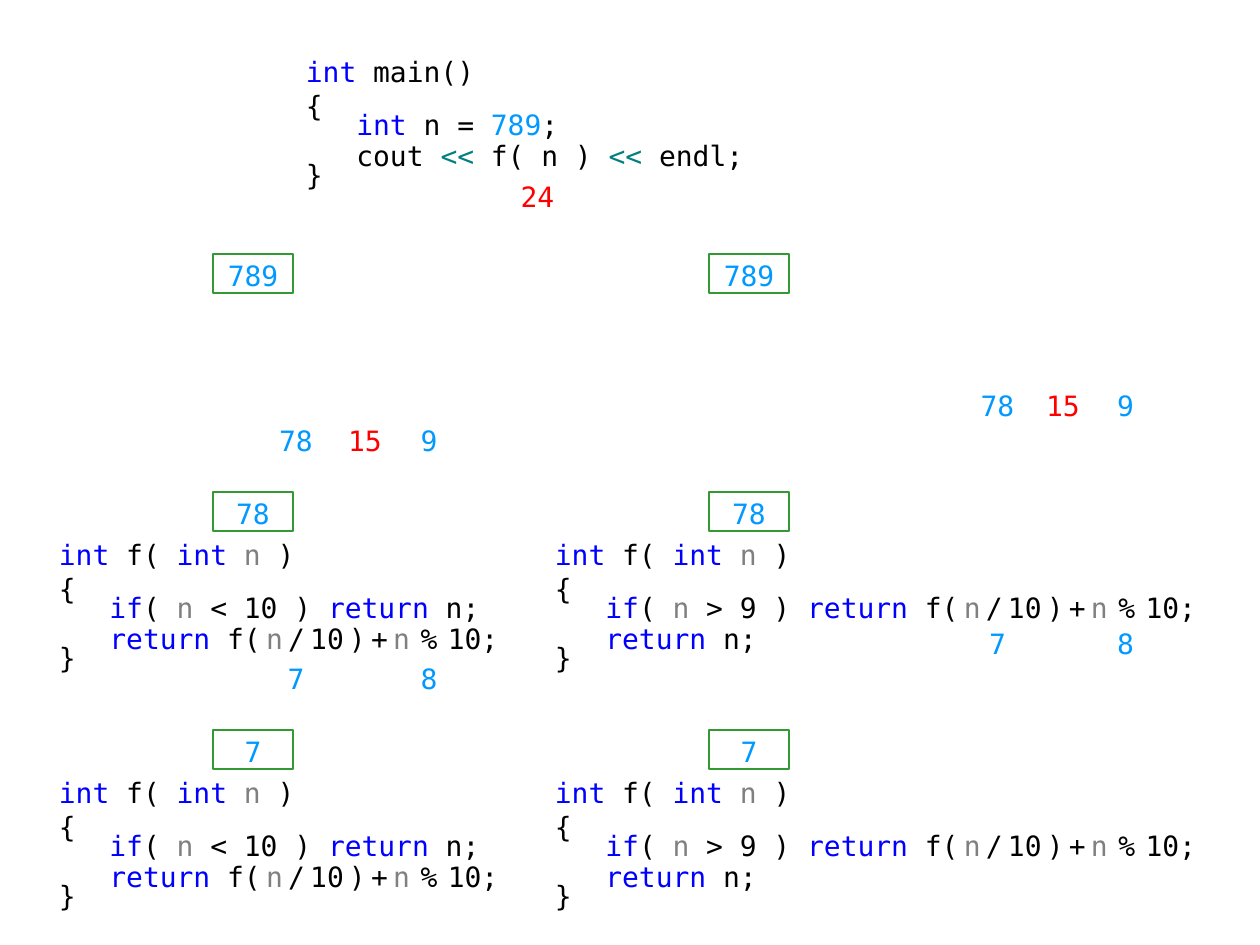
from pptx import Presentation
from pptx import util as u
from pptx.dml.color import RGBColor
from pptx.enum import shapes, text

BLACK = RGBColor(0, 0, 0)
BLUE = RGBColor(0, 0, 255)
GRAY = RGBColor(128, 128, 128)
SKY = RGBColor(0, 153, 255)
TEAL = RGBColor(0, 128, 128)
RED = RGBColor(255, 0, 0)
GREEN = RGBColor(51, 153, 51)
WHITE = RGBColor(255, 255, 255)

COLUMN_STEP, ROW_STEP = 496, 238

MAIN = [
    [("int", BLUE), (" main()", BLACK)],
    [("{", BLACK)],
    [("   ", BLACK), ("int", BLUE), (" n = ", BLACK), ("789", SKY), (";", BLACK)],
    [("   cout ", BLACK), ("<<", TEAL), (" f( n ) ", BLACK), ("<<", TEAL), (" endl;", BLACK)],
    [("}", BLACK)],
]
RETURN_N = [("return", BLUE), (" n;", BLACK)]
RETURN_SUM = [
    ("return", BLUE), (" f", BLACK), ("(", BLACK, 3), ("n", GRAY, 3), ("/", BLACK, 3),
    ("1", BLACK), ("0)+", BLACK, 3), ("n", GRAY, 6), ("%", BLACK, 6), ("10;", BLACK),
]


def digit_sum(condition, when_true, otherwise):
    """Return the coloured lines of one version of the recursive function."""
    return [
        [("int", BLUE), (" f( ", BLACK), ("int ", BLUE), ("n", GRAY), (" )", BLACK)],
        [("{", BLACK)],
        [("   ", BLACK), ("if", BLUE), ("( ", BLACK), ("n", GRAY), (condition, BLACK), *when_true],
        [("   ", BLACK), *otherwise],
        [("}", BLACK)],
    ]


class TraceSlide:
    """Holds the style and the current slide of a recursion trace."""

    FONT, SIZE = "DejaVu Sans Mono", u.Pt(16)
    TIGHT_LINES = (2, 4)

    def __init__(self, presentation):
        self.slide = presentation.slides.add_slide(presentation.slide_layouts[6])

    @staticmethod
    def px(length):
        """Turn pixels into EMU."""
        return u.Emu(round(length * 914400 / 126))

    def frame(self, shape, insets, wrap=False):
        """Set the insets and wrapping of a shape's text frame."""
        frame = shape.text_frame
        frame.word_wrap = wrap
        frame.margin_left, frame.margin_top, frame.margin_right, frame.margin_bottom = map(self.px, insets)
        return frame

    def style(self, paragraph):
        """Give a paragraph the code font."""
        paragraph.font.name = self.FONT
        paragraph.font.size = self.SIZE

    def code(self, lines, left, top, width, insets=(5, 6, 5, 6), wrap=True):
        """Add a block of coloured code."""
        box = self.slide.shapes.add_textbox(*map(self.px, (left, top, width, 139)))
        frame = self.frame(box, insets, wrap)
        for index, line in enumerate(lines):
            paragraph = frame.paragraphs[0] if index == 0 else frame.add_paragraph()
            self.style(paragraph)
            if index in self.TIGHT_LINES:
                paragraph.line_spacing = 0.5
            for content, color, *spacing in line:
                run = paragraph.add_run()
                run.text = content
                run.font.color.rgb = color
                if spacing:
                    run._r.get_or_add_rPr().set("spc", str(spacing[0] * 100))

    def value(self, content, left, top, width, insets, color=SKY, outline=WHITE, height=39):
        """Add a centred value in an outlined box."""
        shape = self.slide.shapes.add_shape(
            shapes.MSO_SHAPE.RECTANGLE, *map(self.px, (left, top, width, height)))
        shape.shadow.inherit = False
        shape.fill.background()
        if outline is None:
            shape.line.fill.background()
        else:
            shape.line.color.rgb = outline
            shape.line.width = u.Pt(1.5)
        frame = self.frame(shape, insets)
        frame.vertical_anchor = text.MSO_ANCHOR.MIDDLE
        paragraph = frame.paragraphs[0]
        paragraph.alignment = text.PP_ALIGN.CENTER
        paragraph.text = content
        self.style(paragraph)
        paragraph.font.color.rgb = color


def main():
    """Build the slide and save it."""
    presentation = Presentation()
    presentation.slide_width, presentation.slide_height = u.Inches(10), u.Inches(7.5)
    trace = TraceSlide(presentation)

    trace.code(MAIN, 293, 55, 476, (13, 0, 13, 6))
    trace.value("24", 512, 175, 59, (5, 3, 13, 0), RED, None)

    base_first = digit_sum(" < 10 ) ", RETURN_N, RETURN_SUM)
    step_first = digit_sum(" > 9 ) ", RETURN_SUM, RETURN_N)
    for row in (1, 2):
        top = 294 + row * ROW_STEP
        trace.code(base_first, 54, top, 456)
        trace.code(step_first, 54 + COLUMN_STEP, top, 655, wrap=False)

    for row, argument in enumerate(("789", "78", "7")):
        for column in (0, 1):
            trace.value(argument, 213 + column * COLUMN_STEP, 254 + row * ROW_STEP, 80,
                        (13, 3, 13, 0), outline=GREEN)

    for row, (quotient, remainder) in enumerate((("78", "9"), ("7", "8"))):
        left_top, right_top = 433 + row * ROW_STEP, 393 + row * ROW_STEP
        trace.value(quotient, 273, left_top, 59, (0, 0, 13, 25))
        trace.value(quotient, 968, right_top, 59, (13, 0, 13, 15))
        trace.value(remainder, 412, left_top, 39, (0, 0, 5, 25))
        trace.value(remainder, 1106, right_top, 39, (13, 0, 13, 15))

    trace.value("15", 333, 433, 59, (5, 0, 0, 25), RED)
    trace.value("15", 1027, 393, 59, (13, 0, 0, 15), RED)

    presentation.save("out.pptx")


if __name__ == "__main__":
    main()
